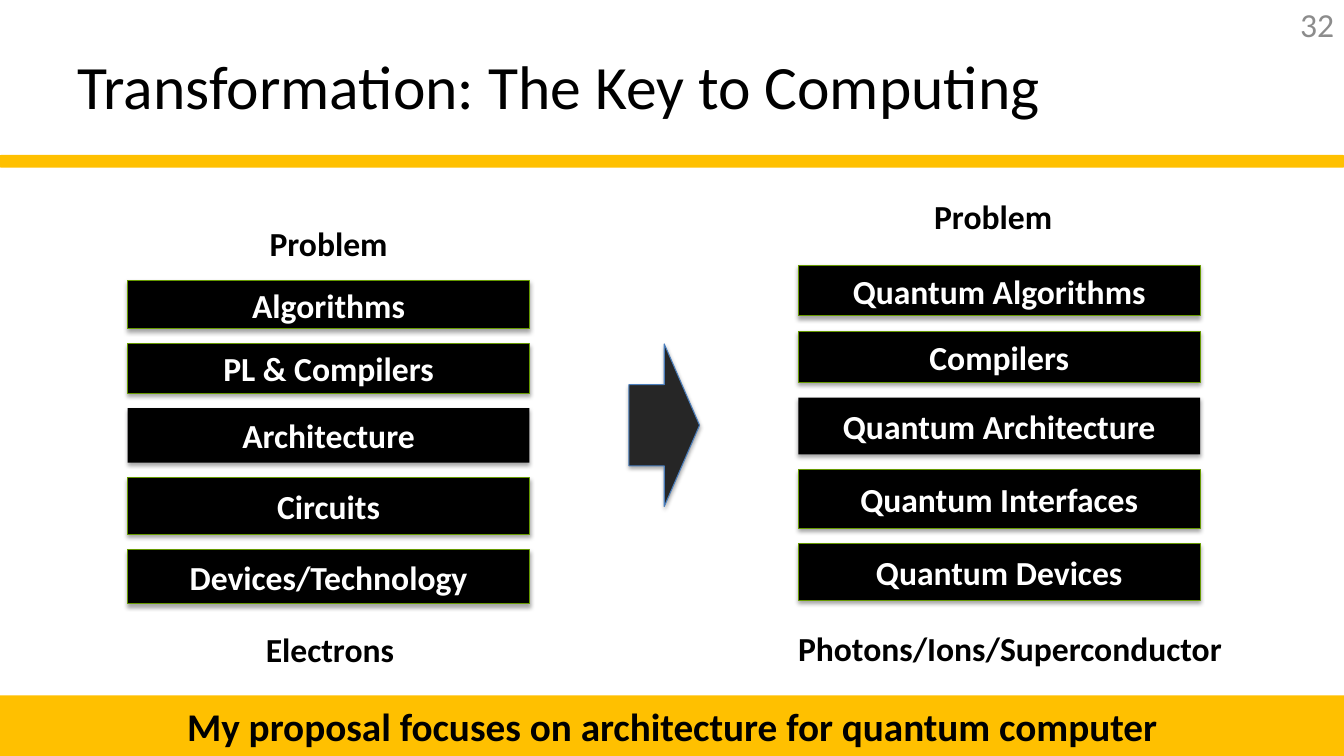
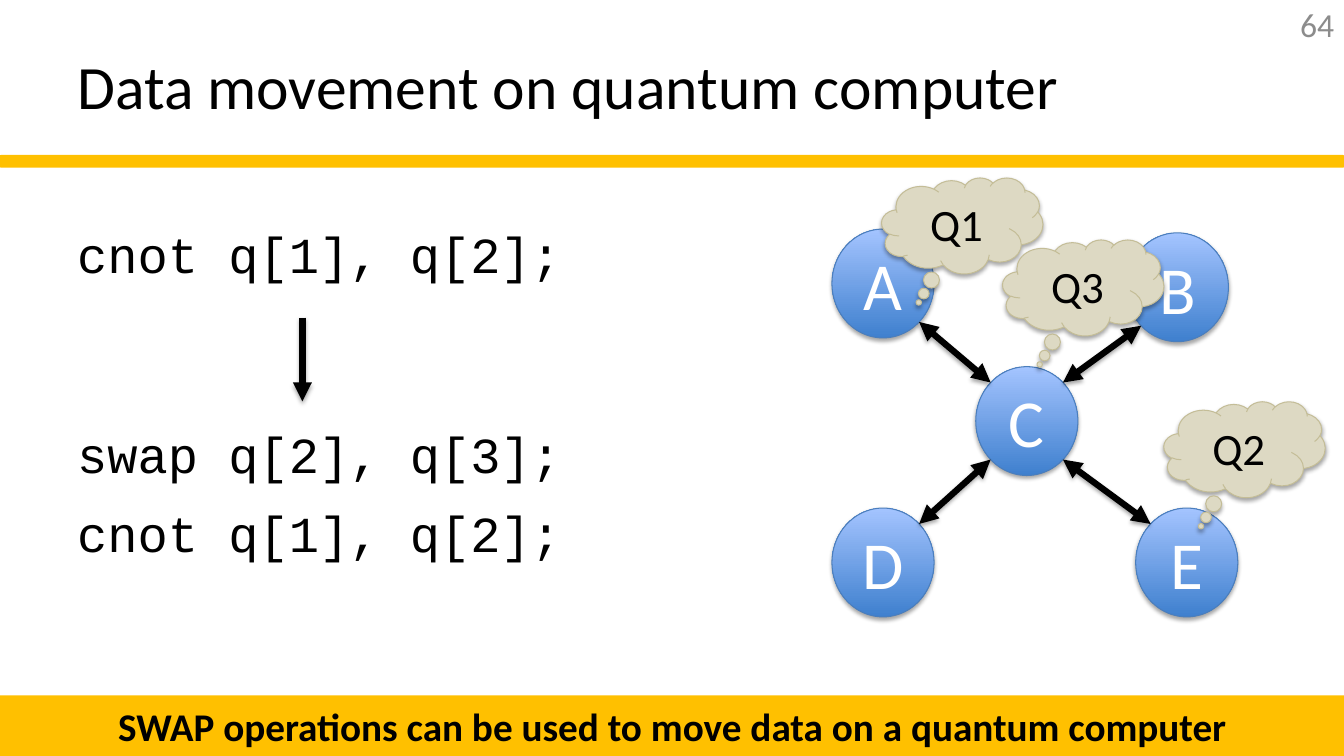
from math import copysign, sqrt

from lxml.etree import SubElement
from pptx import Presentation
from pptx.dml.color import RGBColor
from pptx.enum.shapes import MSO_CONNECTOR, MSO_SHAPE
from pptx.enum.text import MSO_ANCHOR, PP_ALIGN
from pptx.oxml import parse_xml
from pptx.oxml.ns import nsdecls, qn
from pptx.util import Inches, Pt

color = RGBColor.from_string

WIDTH, HEIGHT = Inches(13.33), Inches(7.5)
COLUMN, ROW = WIDTH / 100, HEIGHT / 100
BLACK, WHITE, GOLD, GREEN, BLUE = "000000", "FFFFFF", "FFC000", "669900", "4B7EBC"
SHADOW = (
    f'<a:effectLst {nsdecls("a")}><a:outerShdw blurRad="39370" dist="22860" dir="5400000" rotWithShape="0">'
    '<a:srgbClr val="000000"><a:alpha val="35000"/></a:srgbClr></a:outerShdw></a:effectLst>'
)
STYLES = {
    "title": {"size": Pt(44), "color": BLACK, "align": PP_ALIGN.LEFT},
    "number": {"size": Pt(24), "color": "8C8C8C", "align": PP_ALIGN.RIGHT},
    "label": {"size": Pt(24), "color": BLACK, "bold": True},
    "layer": {"size": Pt(24), "color": WHITE, "bold": True},
    "footer": {"size": Pt(28), "color": BLACK, "bold": True},
    "node": {"size": Pt(48), "color": WHITE},
    "cloud": {"size": Pt(32), "color": BLACK},
    "code": {"size": Pt(36), "color": BLACK, "name": "Courier New", "align": PP_ALIGN.LEFT,
             "anchor": MSO_ANCHOR.TOP, "wrap": False},
}


def write(shape, text, style):
    look = {"name": "Calibri", "bold": False, "align": PP_ALIGN.CENTER,
            "anchor": MSO_ANCHOR.MIDDLE, "wrap": True} | STYLES[style]
    frame = shape.text_frame
    frame.word_wrap = look["wrap"]
    frame.vertical_anchor = look["anchor"]
    para = frame.paragraphs[0]
    para.alignment = look["align"]
    span = para.add_run()
    span.text = text
    for key in ("name", "size", "bold"):
        setattr(span.font, key, look[key])
    span.font.color.rgb = color(look["color"])


def draw(page, kind, place, fill, line=None, weight=0.75, shadow=True, adjust=()):
    shape = page.shapes.add_shape(kind, *(int(v * unit) for v, unit in zip(place, (COLUMN, ROW) * 2)))
    for index, value in enumerate(adjust):
        shape.adjustments[index] = value
    if isinstance(fill, tuple):
        shape.fill.gradient()
        shape.fill.gradient_angle = 90
        for stop, shade in zip(shape.fill.gradient_stops, fill):
            stop.color.rgb = color(shade)
    else:
        shape.fill.solid()
        shape.fill.fore_color.rgb = color(fill)
    if line:
        shape.line.color.rgb = color(line)
        shape.line.width = Pt(weight)
    else:
        shape.line.fill.background()
    if shadow:
        shape.element.spPr.append(parse_xml(SHADOW))
    else:
        shape.shadow.inherit = False
    return shape


deck = Presentation()
deck.slide_width, deck.slide_height = WIDTH, HEIGHT
layout = deck.slide_layouts.get_by_name("Title Only")

pages = []
for title, number, message in (
    ("Transformation: The Key to Computing", "32",
     "My proposal focuses on architecture for quantum computer"),
    ("Data movement on quantum computer", "64",
     "SWAP operations can be used to move data on a quantum computer"),
):
    page = deck.slides.add_slide(layout)
    heading = page.shapes.title
    for side, value in {"left": 5 * COLUMN, "top": 2.93 * ROW,
                        "width": 84.5 * COLUMN, "height": 16.67 * ROW}.items():
        setattr(heading, side, int(value))
    write(heading, title, "title")
    box = page.shapes.add_textbox(int(94.7 * COLUMN), 0, int(5.3 * COLUMN), int(6.4 * ROW))
    write(box, number, "number")
    footer = draw(page, MSO_SHAPE.ROUNDED_RECTANGLE, (0, 92, 100, 8), GOLD, shadow=False, adjust=(0,))
    write(footer, message, "footer")
    pages.append(page)
stack_page, swap_page = pages

rule = draw(stack_page, MSO_SHAPE.ROUNDED_RECTANGLE, (0, 20.67, 100, 1.33), GOLD, GOLD, 2, shadow=False)
layout.shapes.element.append(rule.element)

LAYER_WIDTH, LAYER_GAP = 29.9, 2
for left, top, layers in (
    (9.5, 37.1, (("Algorithms", 6.4), ("PL & Compilers", 6.5), ("Architecture", 7.2),
                 ("Circuits", 7.5), ("Devices/Technology", 7.2))),
    (59.4, 35.1, (("Quantum Algorithms", 6.7), ("Compilers", 6.8), ("Quantum Architecture", 7.5),
                  ("Quantum Interfaces", 7.8), ("Quantum Devices", 7.5))),
):
    for text, height in layers:
        edge = None if text.endswith("Architecture") else GREEN
        layer = draw(stack_page, MSO_SHAPE.RECTANGLE, (left, top, LAYER_WIDTH, height), BLACK, edge)
        write(layer, text, "layer")
        top += height + LAYER_GAP

for text, left, top, width, height in (
    ("Problem", 9.5, 28.5, 29.9, 7.2),
    ("Electrons", 9.6, 82.3, 29.9, 7.2),
    ("Problem", 55.7, 23.5, 36.4, 10.1),
    ("Photons/Ions/Superconductor", 58.15, 82, 34, 7.5),
):
    box = stack_page.shapes.add_textbox(int(left * COLUMN), int(top * ROW), int(width * COLUMN), int(height * ROW))
    write(box, text, "label")

draw(stack_page, MSO_SHAPE.RIGHT_ARROW, (46.8, 45.5, 5.25, 21.5), "262626", BLUE)

NODE_WIDTH, NODE_HEIGHT = 7.6, 14.4
nodes = {"A": (61.9, 30.3), "B": (83.8, 30.8), "C": (72.6, 48.5), "D": (61.9, 67.2), "E": (84.5, 67.2)}
for text, corner in nodes.items():
    node = draw(swap_page, MSO_SHAPE.OVAL, (*corner, NODE_WIDTH, NODE_HEIGHT), ("3F80CE", "A4C4FF"), BLUE)
    write(node, text, "node")

arrows = [((22.5, 42), (22.5, 53.1), ("tailEnd",))]
hub_left, hub_top = nodes["C"]
reach_x, reach_y = NODE_WIDTH / 2 / sqrt(2), NODE_HEIGHT / 2 / sqrt(2)
for name in "ABDE":
    left, top = nodes[name]
    step_x, step_y = copysign(reach_x, left - hub_left), copysign(reach_y, top - hub_top)
    mid_x, mid_y = NODE_WIDTH / 2, NODE_HEIGHT / 2
    arrows.append(((hub_left + mid_x + step_x, hub_top + mid_y + step_y),
                   (left + mid_x - step_x, top + mid_y - step_y), ("headEnd", "tailEnd")))

for start, end, tips in arrows:
    ends = (int(v * unit) for v, unit in zip(start + end, (COLUMN, ROW) * 2))
    arrow = swap_page.shapes.add_connector(MSO_CONNECTOR.STRAIGHT, *ends)
    arrow.line.color.rgb = color(BLACK)
    arrow.line.width = Pt(4.5)
    outline = arrow.element.spPr.find(qn("a:ln"))
    for tip in tips:
        SubElement(outline, qn(f"a:{tip}"), type="triangle")
    arrow.element.spPr.append(parse_xml(SHADOW))

for text, left, top in (("Q1", 65.6, 23.5), ("Q2", 86.6, 53.1), ("Q3", 74.6, 31.7)):
    cloud = draw(swap_page, MSO_SHAPE.CLOUD_CALLOUT, (left, top, 12, 12.7), "DDD9C3", "C4BD97",
                 adjust=(-0.27, 0.8))
    write(cloud, text, "cloud")

for text, top in (("cnot q[1], q[2];", 28.9), ("swap q[2], q[3];", 55.3), ("cnot q[1], q[2];", 65.7)):
    box = swap_page.shapes.add_textbox(int(5 * COLUMN), int(top * ROW), int(37.9 * COLUMN), int(9.5 * ROW))
    write(box, text, "code")

deck.save("out.pptx")
